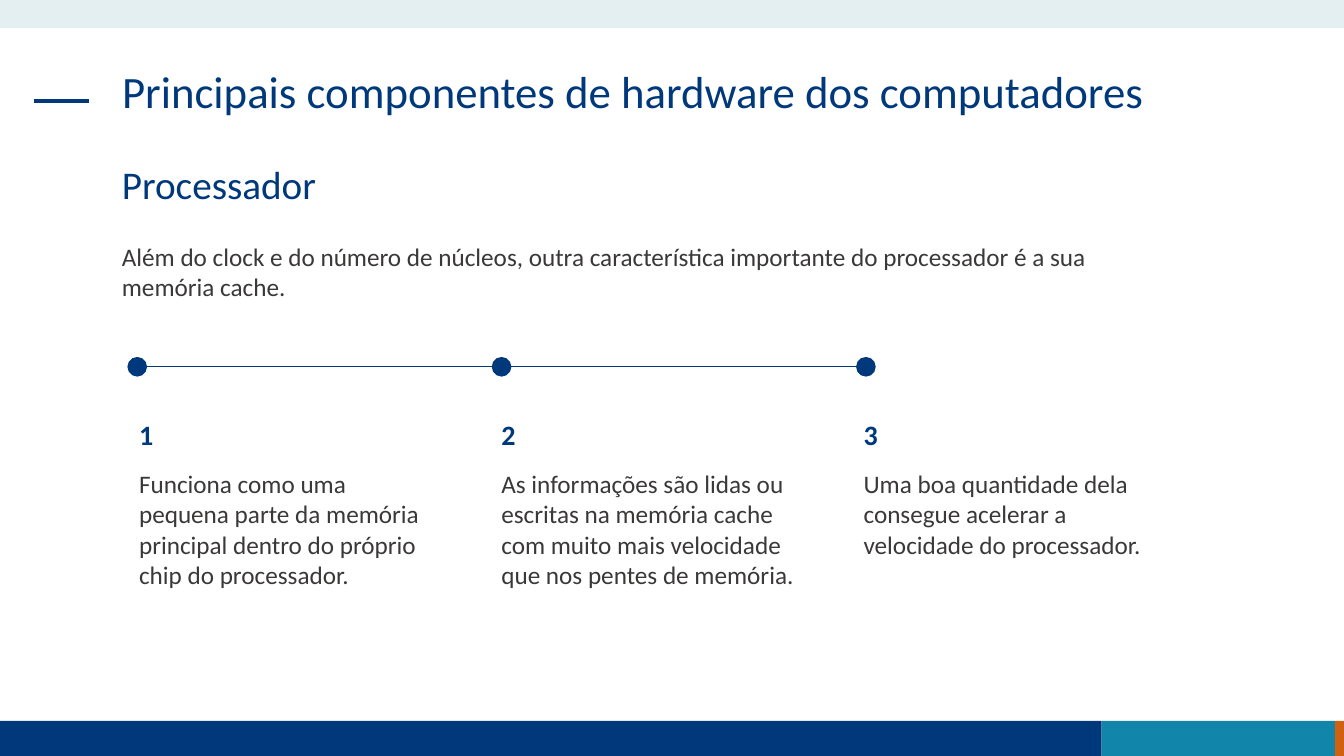
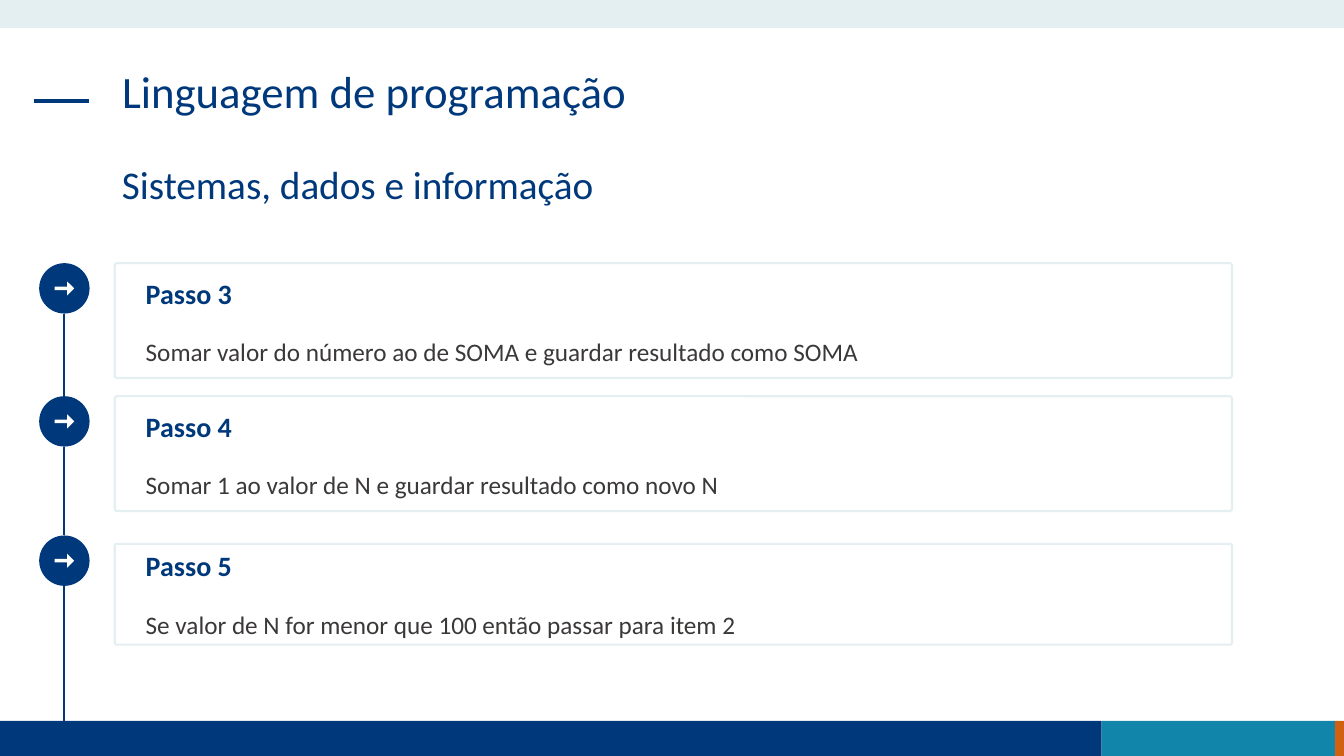
import pptx
import pptx.dml.color
import pptx.enum.shapes
import pptx.enum.text
import pptx.oxml
import pptx.oxml.ns
import pptx.util

Pt = pptx.util.Pt
RGBColor = pptx.dml.color.RGBColor
SHAPES = pptx.enum.shapes.MSO_SHAPE

NAVY = RGBColor(0x00, 0x39, 0x7B)
TEAL = RGBColor(0x11, 0x85, 0xAA)
ORANGE = RGBColor(0xD0, 0x61, 0x10)
PALE = RGBColor(0xE3, 0xEF, 0xF1)
GREY = RGBColor(0x3B, 0x38, 0x38)
WHITE = RGBColor(0xFF, 0xFF, 0xFF)

FONT = "Calibri"
SLIDE_WIDTH, SLIDE_HEIGHT = 960, 540
FOOTER_TOP = 515
HEADING_LEFT, HEADING_WIDTH, HEADING_HEIGHT = 80, 799, 68
MARKER_SIZE = 36

CACHE_FACTS = [
    ("Funciona como uma pequena parte da memória principal dentro do próprio chip do processador.", 220),
    ("As informações são lidas ou escritas na memória cache com muito mais velocidade "
     "que nos pentes de memória.", 229),
    ("Uma boa quantidade dela consegue acelerar a velocidade do processador.", 220),
]

# marker top, frame offset from the marker, frame height, heading, body
STEPS = [
    (188, 0, 82, "Passo 3", "Somar valor do número ao de SOMA e guardar resultado como SOMA"),
    (283, 0, 82, "Passo 4", "Somar 1 ao valor de N e guardar resultado como novo N"),
    (382.5, 6, 72, "Passo 5", "Se valor de N for menor que 100 então passar para item 2"),
]


def write_text(text_frame, text, size=18, colour=GREY, bold=False, line_spacing=1.0):
    text_frame.word_wrap = True
    text_frame.auto_size = pptx.enum.text.MSO_AUTO_SIZE.NONE
    text_frame.vertical_anchor = pptx.enum.text.MSO_ANCHOR.TOP
    paragraph = text_frame.paragraphs[0]
    paragraph.alignment = pptx.enum.text.PP_ALIGN.LEFT
    paragraph.line_spacing = line_spacing
    run = paragraph.add_run()
    run.text = text
    run.font.name = FONT
    run.font.size = Pt(size)
    run.font.bold = bold
    run.font.color.rgb = colour


def add_text(slide, left, top, width, height, text, **text_format):
    box = slide.shapes.add_textbox(Pt(left), Pt(top), Pt(width), Pt(height))
    write_text(box.text_frame, text, **text_format)


def add_block(slide, kind, left, top, width, height, fill=None, line=None, line_width=1):
    shape = slide.shapes.add_shape(kind, Pt(left), Pt(top), Pt(width), Pt(height))
    shape.shadow.inherit = False
    if fill is None:
        shape.fill.background()
    else:
        shape.fill.solid()
        shape.fill.fore_color.rgb = fill
    if line is None:
        shape.line.fill.background()
    else:
        shape.line.color.rgb = line
        shape.line.width = Pt(line_width)
    return shape


def add_line(slide, start, end, width):
    connector = slide.shapes.add_connector(
        pptx.enum.shapes.MSO_CONNECTOR.STRAIGHT, *(Pt(value) for value in (*start, *end)))
    connector.line.color.rgb = NAVY
    connector.line.width = Pt(width)
    properties = connector._element.spPr
    properties.append(pptx.oxml.parse_xml(
        "<a:effectLst %s/>" % pptx.oxml.ns.nsdecls("a")))


def add_base_slide(presentation, title, subtitle):
    """Add a slide with the shared bands, title and subtitle."""
    slide = presentation.slides.add_slide(presentation.slide_layouts[5])
    footer_height = SLIDE_HEIGHT - FOOTER_TOP
    for left, top, width, height, colour in (
        (0, 0, SLIDE_WIDTH, 20, PALE),
        (0, FOOTER_TOP, 787, footer_height, NAVY),
        (787, FOOTER_TOP, 166.5, footer_height, TEAL),
        (953.5, FOOTER_TOP, 6.5, footer_height, ORANGE),
    ):
        add_block(slide, SHAPES.RECTANGLE, left, top, width, height, fill=colour)
    add_line(slide, (24, 72), (63.5, 72), 3)

    heading = slide.shapes.title
    heading.left, heading.top = Pt(HEADING_LEFT), Pt(46)
    heading.width, heading.height = Pt(HEADING_WIDTH), Pt(HEADING_HEIGHT)
    write_text(heading.text_frame, title, size=32, colour=NAVY, line_spacing=0.9)
    add_text(slide, HEADING_LEFT, 114.5, HEADING_WIDTH, HEADING_HEIGHT, subtitle,
             size=28, colour=NAVY, line_spacing=0.9)
    return slide


def add_timeline(slide, left, top, facts):
    dot_size, dot_step, column_step = 13, 260.25, 258.75
    middle = top + dot_size / 2
    add_line(slide, (left + dot_size / 2, middle),
             (left + (len(facts) - 1) * dot_step + dot_size, middle), 0.5)
    for index, (fact, width) in enumerate(facts):
        add_block(slide, SHAPES.OVAL, left + index * dot_step, top, dot_size, dot_size,
                  fill=NAVY, line=NAVY)
        column_left = left + 0.75 + index * column_step
        add_text(slide, column_left, top + 39, width, 32, str(index + 1),
                 size=20, colour=NAVY, bold=True)
        add_text(slide, column_left, top + 75.5, width, 94, fact)


def add_step(slide, left, top, frame_offset, frame_height, heading, body):
    add_block(slide, SHAPES.OVAL, left, top, MARKER_SIZE, MARKER_SIZE, fill=NAVY)
    arrow = add_block(slide, SHAPES.RIGHT_ARROW, left + 11, top + 13, 14, 10, fill=WHITE)
    arrow.adjustments[0] = 0.26
    frame = add_block(slide, SHAPES.ROUNDED_RECTANGLE, left + 54, top + frame_offset,
                      798, frame_height, line=PALE, line_width=1.5)
    frame.adjustments[0] = 0.02
    add_text(slide, left + 69, top + 6, 759, 32, heading, size=20, colour=NAVY, bold=True)
    add_text(slide, left + 69, top + 49, 759, 29, body)


def add_steps(slide, left, steps):
    """Stack the steps and link each marker to the next, the last to the footer."""
    line_left = left + MARKER_SIZE / 2 - 0.5
    line_ends = [step[0] for step in steps[1:]] + [FOOTER_TOP]
    for step, line_end in zip(steps, line_ends):
        add_line(slide, (line_left, step[0] + MARKER_SIZE), (line_left, line_end), 1.5)
        add_step(slide, left, *step)


def build_processor_slide(presentation):
    slide = add_base_slide(
        presentation, "Principais componentes de hardware dos computadores", "Processador")
    add_text(slide, HEADING_LEFT, 168.5, 761, 51,
             "Além do clock e do número de núcleos, outra característica importante "
             "do processador é a sua memória cache.")
    add_timeline(slide, 91.5, 255.5, CACHE_FACTS)


def build_programming_slide(presentation):
    slide = add_base_slide(
        presentation, "Linguagem de programação", "Sistemas, dados e informação")
    add_steps(slide, 28, STEPS)


def main():
    presentation = pptx.Presentation()
    presentation.slide_width = Pt(SLIDE_WIDTH)
    presentation.slide_height = Pt(SLIDE_HEIGHT)
    build_processor_slide(presentation)
    build_programming_slide(presentation)
    presentation.save("out.pptx")


if __name__ == "__main__":
    main()
